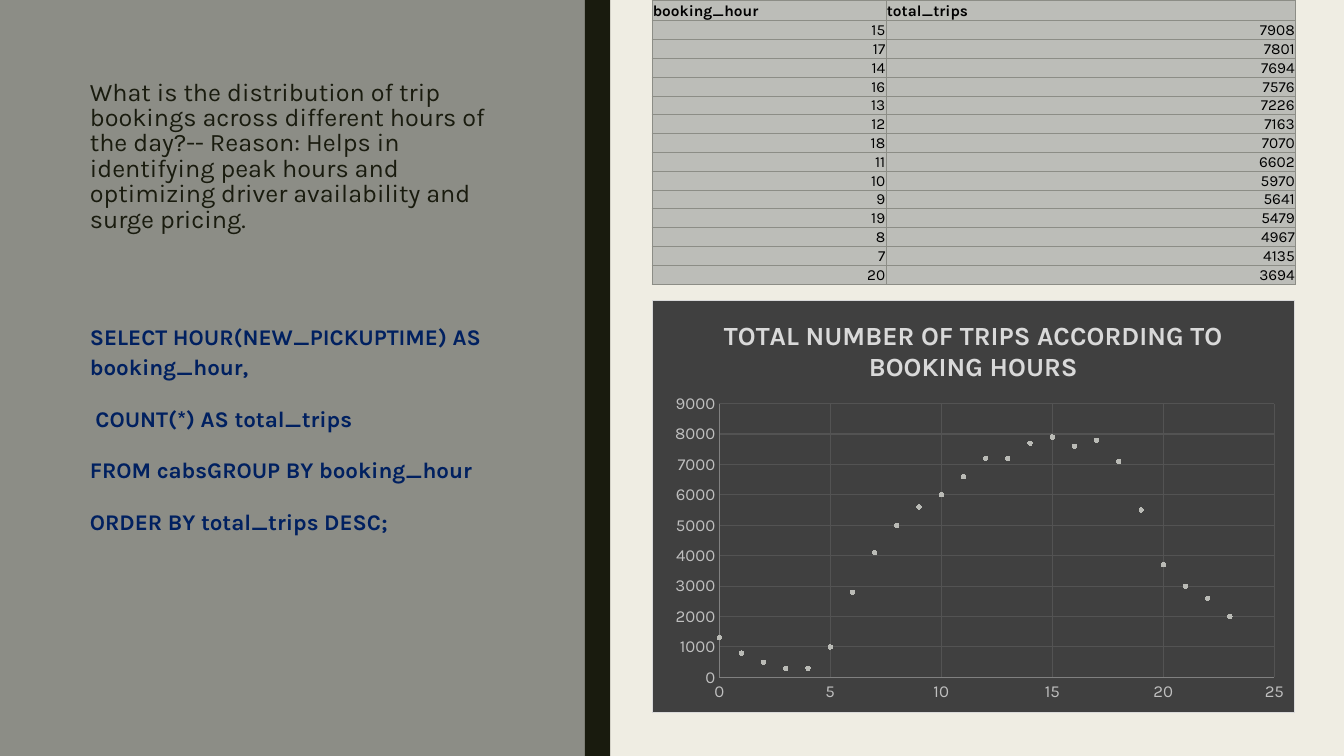
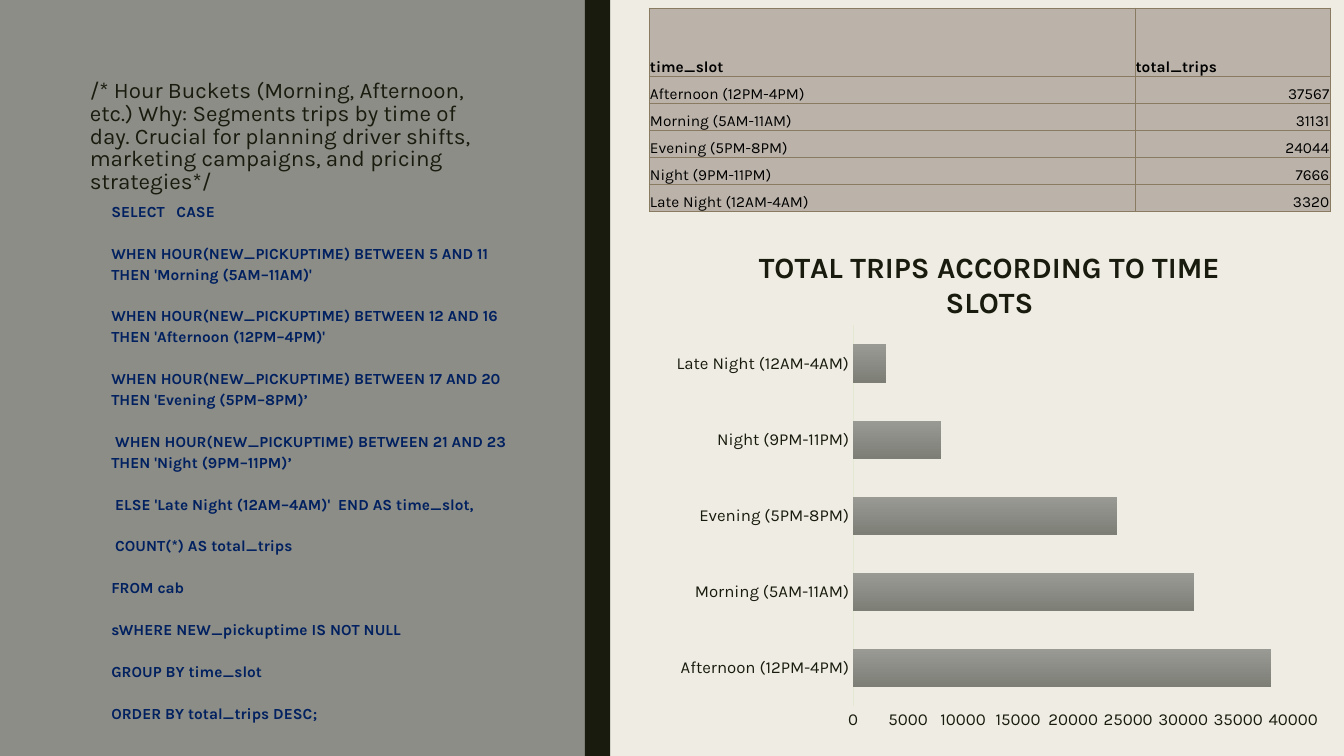
"""Build two slides on trip bookings by hour and by time slot."""
from lxml import etree
from pptx import Presentation
from pptx import util as u
from pptx.chart import data as chart_data
from pptx.dml.color import RGBColor
from pptx.enum import chart as chart_enum, shapes, text
from pptx.oxml import ns, parse_xml

Cm, Pt = u.Cm, u.Pt
FONT = "Karla"
CREAM = RGBColor(0xEF, 0xED, 0xE3)
GRAY = RGBColor(0x8C, 0x8D, 0x86)
GRAY_LIGHT = RGBColor(0x99, 0x9A, 0x94)
GRAY_DARK = RGBColor(0x7D, 0x7E, 0x76)
GRAY_PALE = RGBColor(0xBA, 0xBB, 0xB6)
STONE = RGBColor(0xBC, 0xBD, 0xB8)
INK = RGBColor(0x19, 0x1B, 0x0E)
NAVY = RGBColor(0x00, 0x20, 0x60)
BLACK = RGBColor(0x00, 0x00, 0x00)
BROWN = RGBColor(0x89, 0x7B, 0x61)
TAUPE = RGBColor(0xBB, 0xB3, 0xA9)
CHARCOAL = RGBColor(0x40, 0x40, 0x40)
GRID = RGBColor(0x53, 0x53, 0x53)
AXIS = RGBColor(0x80, 0x80, 0x80)
LABEL = RGBColor(0xBF, 0xBF, 0xBF)
SILVER = RGBColor(0xD9, 0xD9, 0xD9)
PALE_LINE = RGBColor(0xE4, 0xE7, 0xD1)

PANEL_WIDTH, BAND_WIDTH = 14.74, 0.64
TITLE_BOX = (2.01, 1.91, 10.72, 5.99)

HOUR_QUESTION = (
    "What is the distribution of trip bookings across different hours of the day?"
    "-- Reason: Helps in identifying peak hours and optimizing driver availability "
    "and surge pricing."
)
HOUR_QUERY = [
    "SELECT HOUR(NEW_PICKUPTIME) AS booking_hour,",
    " COUNT(*) AS total_trips",
    "FROM cabsGROUP BY booking_hour",
    "ORDER BY total_trips DESC;",
]
TOP_HOURS = [
    (15, 7908), (17, 7801), (14, 7694), (16, 7576), (13, 7226), (12, 7163), (18, 7070),
    (11, 6602), (10, 5970), (9, 5641), (19, 5479), (8, 4967), (7, 4135), (20, 3694),
]
OTHER_HOURS = [
    (21, 3000), (6, 2800), (22, 2600), (23, 2000), (0, 1300),
    (5, 1000), (1, 800), (2, 500), (3, 300), (4, 300),
]
SLOT_QUESTION = (
    "/* Hour Buckets (Morning, Afternoon, etc.) Why: Segments trips by time of day. "
    "Crucial for planning driver shifts, marketing campaigns, and pricing strategies*/"
)
SLOT_QUERY = [
    "SELECT   CASE",
    "WHEN HOUR(NEW_PICKUPTIME) BETWEEN 5 AND 11 THEN 'Morning (5AM–11AM)'",
    "WHEN HOUR(NEW_PICKUPTIME) BETWEEN 12 AND 16 THEN 'Afternoon (12PM–4PM)'",
    "WHEN HOUR(NEW_PICKUPTIME) BETWEEN 17 AND 20 THEN 'Evening (5PM–8PM)’",
    " WHEN HOUR(NEW_PICKUPTIME) BETWEEN 21 AND 23 THEN 'Night (9PM–11PM)’",
    " ELSE 'Late Night (12AM–4AM)'  END AS time_slot,",
    " COUNT(*) AS total_trips",
    "FROM cab",
    "sWHERE NEW_pickuptime IS NOT NULL",
    "GROUP BY time_slot",
    "ORDER BY total_trips DESC;",
]
SLOTS = [
    ("Afternoon (12PM-4PM)", 37567),
    ("Morning (5AM-11AM)", 31131),
    ("Evening (5PM-8PM)", 24044),
    ("Night (9PM-11PM)", 7666),
    ("Late Night (12AM-4AM)", 3320),
]


def apply_format(target, formats):
    """Set every attribute named in the dict of format values."""
    for name, value in formats.items():
        setattr(target, name, value)


def style_font(font, size, color, bold=False):
    """Give a font the deck's typeface with a size, colour and weight."""
    apply_format(font, {"name": FONT, "size": Pt(size), "bold": bold})
    font.color.rgb = color


def place(shape, box):
    """Move a shape to a box of left, top, width and height."""
    apply_format(shape, dict(zip(("left", "top", "width", "height"), map(Cm, box))))


def add_band(slide, layout, box, color, position):
    """Draw a full-height band and hand it over to the layout."""
    band = slide.shapes.add_shape(shapes.MSO_SHAPE.RECTANGLE, *map(Cm, box))
    band.shadow.inherit = False
    band.fill.solid()
    band.fill.fore_color.rgb = color
    band.line.fill.background()
    layout.shapes.element.insert(position, band.element)


def style_layout(presentation, slide, layout):
    """Put the background and the two bands on the shared layout."""
    height = presentation.slide_height.cm
    layout.background.fill.solid()
    layout.background.fill.fore_color.rgb = CREAM
    add_band(slide, layout, (0, 0, PANEL_WIDTH, height), GRAY, 2)
    add_band(slide, layout, (PANEL_WIDTH, 0, BAND_WIDTH, height), INK, 3)


def fill_placeholder(shape, box, lines, size, color, bold, spacing):
    """Fill a placeholder with plain left-aligned paragraphs."""
    place(shape, box)
    frame = shape.text_frame
    apply_format(frame, {
        "text": "\n".join(lines),
        "word_wrap": True,
        "auto_size": text.MSO_AUTO_SIZE.NONE,
        "vertical_anchor": text.MSO_ANCHOR.TOP,
    })
    for paragraph in frame.paragraphs:
        apply_format(paragraph, {"alignment": text.PP_ALIGN.LEFT, "space_before": Pt(0), **spacing})
        for run in paragraph.runs:
            style_font(run.font, size, color, bold)
        properties = paragraph._p.get_or_add_pPr()
        properties.set("marL", "0")
        properties.set("indent", "0")
        etree.SubElement(properties, ns.qn("a:buNone"))


def fill_panel(slide, question, question_size, query, query_size, query_box):
    """Write the question and its query on the left panel."""
    fill_placeholder(slide.shapes.title, TITLE_BOX, [question], question_size, INK, False,
                     {"line_spacing": 0.84})
    fill_placeholder(slide.placeholders[1], query_box, query, query_size, NAVY, True,
                     {"line_spacing": 1.13, "space_after": Pt(15)})


def border_cell(cell, color):
    """Draw a thin line on all four sides of a cell."""
    for position, side in enumerate(("lnL", "lnR", "lnT", "lnB")):
        line = parse_xml(
            f'<a:{side} {ns.nsdecls("a")} w="6350"><a:solidFill>'
            f'<a:srgbClr val="{color}"/></a:solidFill></a:{side}>')
        cell._tc.get_or_add_tcPr().insert(position, line)


def add_trip_table(slide, corner, widths, heights, rows, fill, border):
    """Add a table with a bold header and numbers aligned right."""
    header_height, row_height = heights
    total_height = header_height + row_height * (len(rows) - 1)
    table = slide.shapes.add_table(
        len(rows), len(widths), *map(Cm, (*corner, sum(widths), total_height))).table
    apply_format(table, {"first_row": False, "horz_banding": False})
    for column, width in zip(table.columns, widths):
        column.width = Cm(width)
    for index, values in enumerate(rows):
        table.rows[index].height = Cm(row_height if index else header_height)
        for cell, value in zip(table.rows[index].cells, values):
            apply_format(cell, {
                "text": str(value),
                "vertical_anchor": text.MSO_ANCHOR.BOTTOM,
                "margin_left": Cm(0.02), "margin_right": Cm(0.02),
                "margin_top": Cm(0.02), "margin_bottom": 0,
            })
            cell.fill.solid()
            cell.fill.fore_color.rgb = fill
            border_cell(cell, border)
            paragraph = cell.text_frame.paragraphs[0]
            is_number = isinstance(value, int)
            paragraph.alignment = text.PP_ALIGN.RIGHT if is_number else text.PP_ALIGN.LEFT
            style_font(paragraph.runs[0].font, 11, BLACK, index == 0)


def set_plot_area(chart, box):
    """Fix the inner plot area as fractions of the chart."""
    plot_area = chart.element.find(".//" + ns.qn("c:plotArea"))
    for layout in plot_area.findall(ns.qn("c:layout")):
        plot_area.remove(layout)
    modes = "".join(f'<c:{side}Mode val="edge"/>' for side in "xy")
    sizes = "".join(f'<c:{name} val="{value}"/>' for name, value in zip("xywh", box))
    plot_area.insert(0, parse_xml(
        f'<c:layout {ns.nsdecls("c")}><c:manualLayout><c:layoutTarget val="inner"/>'
        f'{modes}{sizes}</c:manualLayout></c:layout>'))


def set_chart_background(chart, fill, border):
    """Fill and outline the whole chart."""
    chart.element.find(ns.qn("c:chart")).addnext(parse_xml(
        f'<c:spPr {ns.nsdecls("c", "a")}><a:solidFill><a:srgbClr val="{fill}"/></a:solidFill>'
        f'<a:ln w="9525"><a:solidFill><a:srgbClr val="{border}"/></a:solidFill></a:ln></c:spPr>'))


def style_line(line, color):
    """Give a chart line its colour and thin width."""
    line.color.rgb = color
    line.width = Pt(0.75)


def style_axis(axis, label_color, line_color=None, grid_color=None, scale=None):
    """Format an axis with its labels, line, gridlines and scale."""
    apply_format(axis, {
        "major_tick_mark": chart_enum.XL_TICK_MARK.NONE,
        "minor_tick_mark": chart_enum.XL_TICK_MARK.NONE,
        "has_major_gridlines": grid_color is not None,
    })
    style_font(axis.tick_labels.font, 12, label_color)
    if line_color is None:
        axis.format.line.fill.background()
    else:
        style_line(axis.format.line, line_color)
    if grid_color is not None:
        style_line(axis.major_gridlines.format.line, grid_color)
    if scale is not None:
        maximum, step = scale
        apply_format(axis, {"minimum_scale": 0, "maximum_scale": maximum, "major_unit": step})


def add_trip_chart(slide, kind, box, data, title, title_size, title_color, plot_box):
    """Add a chart with a bold title, no legend and a fixed plot area."""
    chart = slide.shapes.add_chart(kind, *map(Cm, box), data).chart
    apply_format(chart, {"has_legend": False, "has_title": True})
    style_font(chart.font, 10, BLACK)
    frame = chart.chart_title.text_frame
    frame.text = title
    style_font(frame.paragraphs[0].runs[0].font, title_size, title_color, True)
    set_plot_area(chart, plot_box)
    chart.plots[0].vary_by_categories = False
    return chart


def add_hour_chart(slide, box):
    """Add the dark scatter chart of trips by booking hour, in hundreds."""
    data = chart_data.XyChartData()
    series_data = data.add_series("Series 1")
    for hour, trips in TOP_HOURS + OTHER_HOURS:
        series_data.add_data_point(hour, round(trips, -2))
    chart = add_trip_chart(
        slide, chart_enum.XL_CHART_TYPE.XY_SCATTER, box, data,
        "TOTAL NUMBER OF TRIPS ACCORDING TO BOOKING HOURS", 18.7, SILVER,
        (0.104, 0.251, 0.865, 0.664))
    set_chart_background(chart, CHARCOAL, SILVER)
    style_axis(chart.category_axis, LABEL, AXIS, GRID, (25, 5))
    style_axis(chart.value_axis, LABEL, AXIS, GRID, (9000, 1000))
    series = chart.plots[0].series[0]
    series.format.line.fill.background()
    marker = series.marker
    apply_format(marker, {"style": chart_enum.XL_MARKER_STYLE.CIRCLE, "size": 3})
    marker.format.fill.solid()
    marker.format.fill.fore_color.rgb = GRAY_PALE
    marker.format.line.color.rgb = GRAY_PALE


def add_slot_chart(slide, box):
    """Add the bar chart of trips by time slot, in thousands."""
    data = chart_data.CategoryChartData()
    data.categories = [slot for slot, _ in SLOTS]
    data.add_series("Series 1", [round(trips, -3) for _, trips in SLOTS])
    chart = add_trip_chart(
        slide, chart_enum.XL_CHART_TYPE.BAR_CLUSTERED, box, data,
        "TOTAL TRIPS ACCORDING TO TIME SLOTS", 21, INK, (0.3, 0.189, 0.646, 0.731))
    style_axis(chart.category_axis, INK, PALE_LINE)
    style_axis(chart.value_axis, INK, scale=(40000, 5000))
    chart.plots[0].gap_width = 100
    fill = chart.plots[0].series[0].format.fill
    fill.gradient()
    fill.gradient_angle = 270
    for stop, color in zip(fill.gradient_stops, (GRAY_LIGHT, GRAY_DARK)):
        stop.color.rgb = color


def build_hour_slide(slide):
    """Build the slide on bookings by hour."""
    fill_panel(slide, HOUR_QUESTION, 18, HOUR_QUERY, 16, (2.01, 7.93, 10.72, 8.36))
    add_trip_table(slide, (16.43, 0), (5.9, 10.32), (0.52, 0.47),
                   [("booking_hour", "total_trips"), *TOP_HOURS], STONE, GRAY)
    add_hour_chart(slide, (16.43, 7.55, 16.2, 10.42))


def build_slot_slide(slide):
    """Build the slide on bookings by time slot."""
    fill_panel(slide, SLOT_QUESTION, 16, SLOT_QUERY, 11, (2.55, 4.9, 10.72, 13.94))
    add_trip_table(slide, (16.36, 0.2), (12.24, 4.92), (1.73, 0.68),
                   [("time_slot", "total_trips"), *SLOTS], TAUPE, BROWN)
    add_slot_chart(slide, (16.35, 5.72, 17.17, 13.13))


def main():
    """Create the presentation and save it."""
    presentation = Presentation()
    apply_format(presentation, {"slide_width": Cm(33.87), "slide_height": Cm(19.05)})
    layout = presentation.slide_layouts[1]
    hour_slide, slot_slide = (presentation.slides.add_slide(layout) for _ in range(2))
    style_layout(presentation, hour_slide, layout)
    build_hour_slide(hour_slide)
    build_slot_slide(slot_slide)
    presentation.save("out.pptx")


if __name__ == "__main__":
    main()
